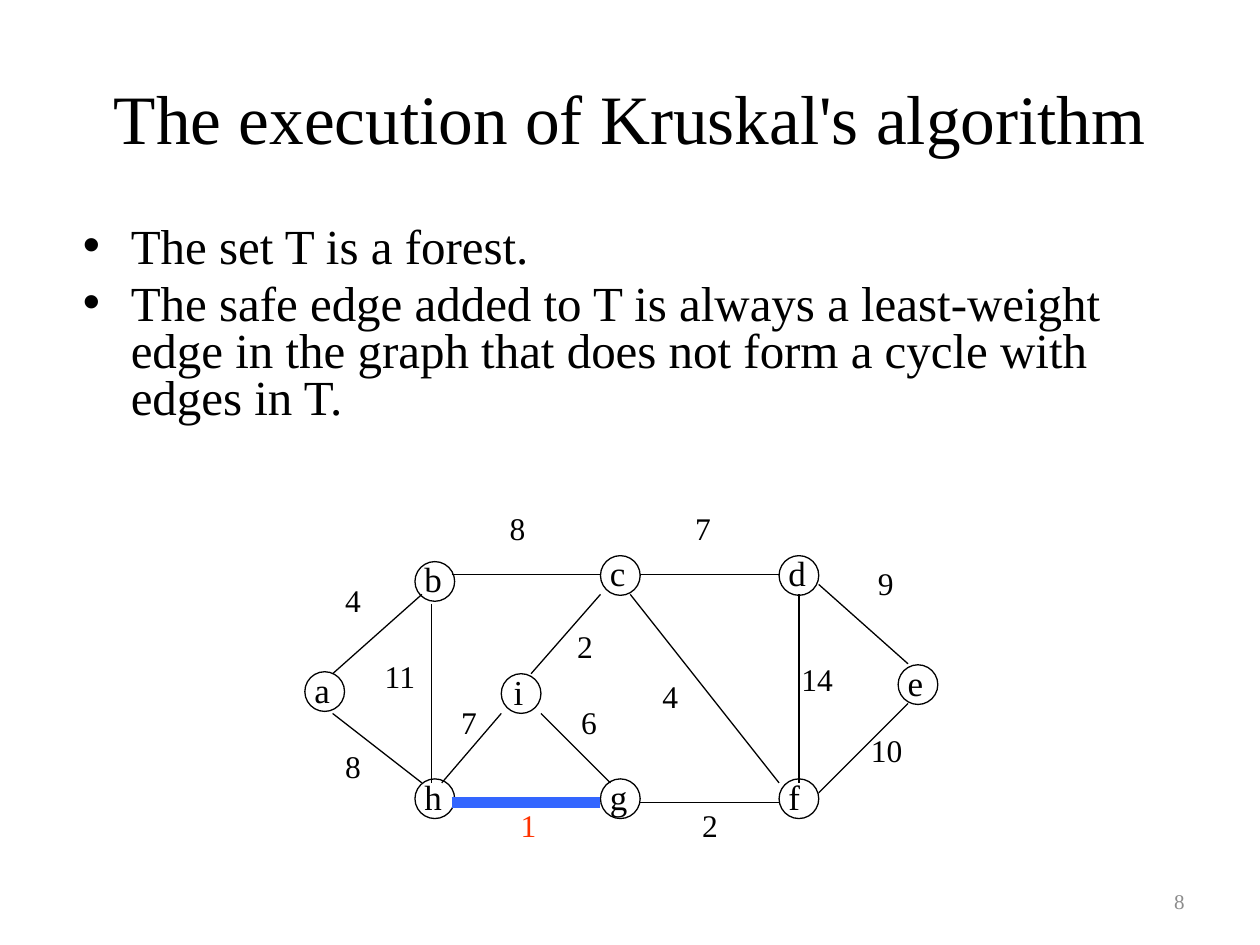
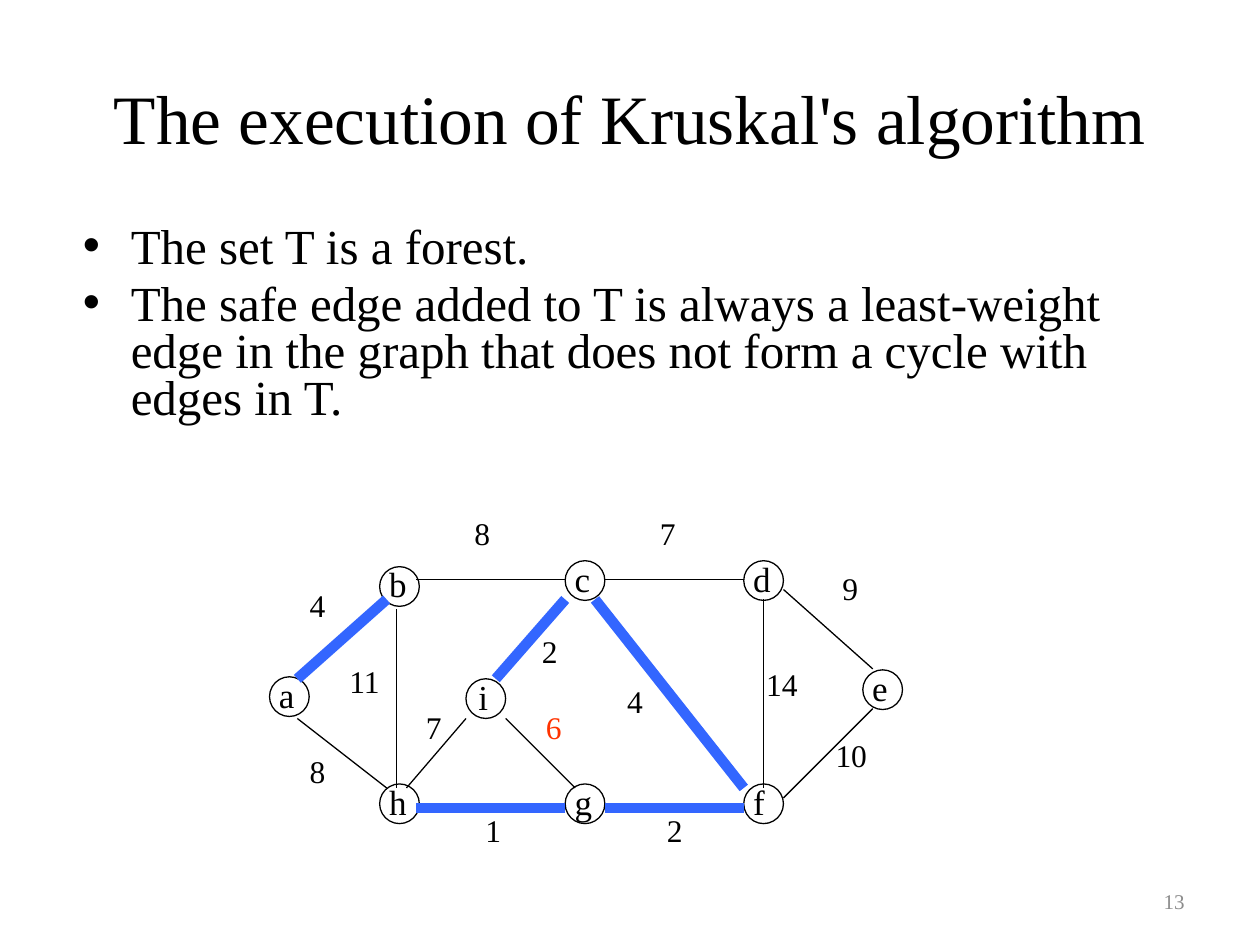
"""Build two slides that follow Kruskal's algorithm on a weighted graph."""
import pptx
import pptx.dml.color
import pptx.enum.shapes
import pptx.enum.text
import pptx.oxml.ns
import pptx.util
from lxml import etree

BLACK = pptx.dml.color.RGBColor(0x00, 0x00, 0x00)
GREY = pptx.dml.color.RGBColor(0x8C, 0x8C, 0x8C)
TREE_BLUE = pptx.dml.color.RGBColor(0x33, 0x66, 0xFF)
CURRENT_RED = pptx.dml.color.RGBColor(0xFF, 0x33, 0x00)
FONT = "Times New Roman"
ALIGN = pptx.enum.text.PP_ALIGN
ANCHOR = pptx.enum.text.MSO_ANCHOR

deck = pptx.Presentation()
deck.slide_width = pptx.util.Inches(10)
deck.slide_height = pptx.util.Inches(7.5)
COLUMN = deck.slide_width / 20
ROW = deck.slide_height / 150
STEP = pptx.util.Cm(0.2)

TITLE = "The execution of Kruskal's algorithm"
POINTS = [
    "The set T is a forest.",
    "The safe edge added to T is always a least-weight edge in the graph "
    "that does not form a cycle with edges in T.",
]

NODE_SIZE = 4
NODES = {
    "a": (-2.8, 9.8), "b": (8.3, -1.3), "h": (8.3, 20.6),
    "c": (27, -1.9), "d": (45, -1.9), "e": (57, 9.1),
    "f": (45, 20.6), "g": (27, 20.6), "i": (17, 10),
}
EDGES = {
    "ab": ((0, 10), (9, 2), "4", (0, 0)),
    "ah": ((0, 14), (9, 21), "8", (0, 16.8)),
    "bh": ((10, 3), (10, 21), "11", (4, 7.7)),
    "bc": ((12, 0), (27, 0), "8", (16.6, -7.2)),
    "hg": ((12, 23), (27, 23), "1", (17.7, 22.7)),
    "gf": ((31, 23), (45, 23), "2", (36, 22.7)),
    "cf": ((30, 2), (45, 21), "4", (32, 9.7)),
    "cd": ((31, 0), (45, 0), "7", (35.3, -7.2)),
    "df": ((47, 2), (47, 21), "14", (46, 8)),
    "de": ((49, 1), (58, 9), "9", (53.7, -1.7)),
    "fe": ((49, 22), (58, 13), "10", (53, 15.1)),
    "ig": ((21, 14), (28, 21), "6", (23.8, 12.3)),
    "hi": ((11, 21), (17, 14), "7", (11.7, 12.3)),
    "ic": ((20, 10), (27, 2), "2", (23.4, 4.7)),
}
STAGES = [
    {"number": "8", "origin": (2.64, 4.56), "tree": ["hg"], "current": "hg"},
    {"number": "13", "origin": (2.36, 4.6),
     "tree": ["ab", "hg", "gf", "cf", "ic"], "current": "ig"},
]


def add_text(shapes, box, texts, size, color=BLACK, align=ALIGN.LEFT, anchor=ANCHOR.TOP):
    """Place one text box and return its paragraphs."""
    frame = shapes.add_textbox(*(int(length) for length in box)).text_frame
    for name, value in {"word_wrap": True, "vertical_anchor": anchor}.items():
        setattr(frame, name, value)
    frame.text = "\n".join(texts)
    font_format = {"name": FONT, "size": pptx.util.Pt(size)}
    for paragraph in frame.paragraphs:
        paragraph.alignment = align
        font = paragraph.runs[0].font
        for name, value in font_format.items():
            setattr(font, name, value)
        font.color.rgb = color
    return frame.paragraphs


def on_page(left, top, width, height):
    """Turn page columns and rows into lengths."""
    return left * COLUMN, top * ROW, width * COLUMN, height * ROW


for stage in STAGES:
    slide = deck.slides.add_slide(deck.slide_layouts[6])
    add_text(slide.shapes, on_page(1, 6, 18, 25), [TITLE], 39.6,
             align=ALIGN.CENTER, anchor=ANCHOR.MIDDLE)
    points = add_text(slide.shapes, on_page(1, 35, 18, 99), POINTS, 28)
    for index, point in enumerate(points):
        properties = point._p.get_or_add_pPr()
        properties.set("marL", str(pptx.util.Inches(0.44)))
        properties.set("indent", str(pptx.util.Inches(-0.38)))
        etree.SubElement(properties, pptx.oxml.ns.qn("a:buFont"), typeface="Arial")
        etree.SubElement(properties, pptx.oxml.ns.qn("a:buChar"), char="•")
        point.line_spacing = 0.8
        point.space_before = pptx.util.Pt(5.6 if index else 0)
    add_text(slide.shapes, on_page(14.34, 139, 4.66, 8), [stage["number"]], 12,
             GREY, ALIGN.RIGHT, ANCHOR.MIDDLE)

    graph = slide.shapes.add_group_shape().shapes
    origin_x, origin_y = (pptx.util.Inches(length) for length in stage["origin"])

    for letter, (column, row) in NODES.items():
        left, top = int(origin_x + column * STEP), int(origin_y + row * STEP)
        inset = 0 if letter == "i" else 0.3
        add_text(graph, (left - inset * STEP, top - STEP, 4.3 * STEP, 5.4 * STEP),
                 [letter], 20)
        node = graph.add_shape(pptx.enum.shapes.MSO_SHAPE.OVAL, left, top,
                               NODE_SIZE * STEP, NODE_SIZE * STEP)
        node.shadow.inherit = False
        node.fill.background()
        node.line.color.rgb = BLACK
        node.line.width = pptx.util.Pt(0.75)

    for name, (start, end, _, _) in EDGES.items():
        ends = [int(origin + position * STEP) for point in (start, end)
                for origin, position in zip((origin_x, origin_y), point)]
        edge = graph.add_connector(pptx.enum.shapes.MSO_CONNECTOR.STRAIGHT, *ends)
        in_tree = name in stage["tree"]
        edge.line.color.rgb = TREE_BLUE if in_tree else BLACK
        edge.line.width = pptx.util.Pt(6 if in_tree else 0.75)
        etree.SubElement(edge._element.spPr, pptx.oxml.ns.qn("a:effectLst"))

    for name, (_, _, weight, (column, row)) in EDGES.items():
        box = (origin_x + column * STEP, origin_y + row * STEP,
               (2.7 + 2 * len(weight)) * STEP, 6.3 * STEP)
        add_text(graph, box, [weight], 18,
                 CURRENT_RED if name == stage["current"] else BLACK)

deck.save("out.pptx")
